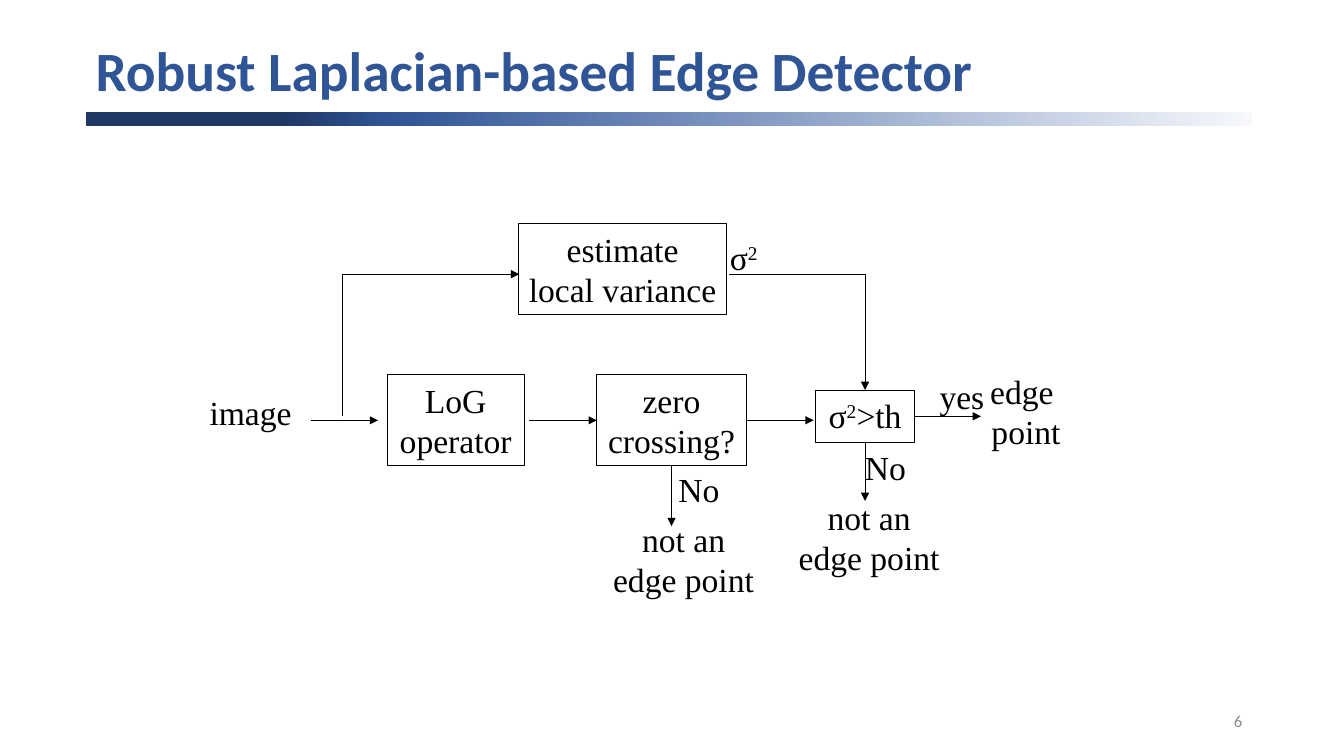
from dataclasses import dataclass
from typing import Optional

from lxml.etree import SubElement
from pptx import Presentation
from pptx.dml.color import RGBColor
from pptx.enum.shapes import MSO_CONNECTOR, MSO_SHAPE
from pptx.enum.text import MSO_ANCHOR, MSO_AUTO_SIZE, PP_ALIGN
from pptx.oxml.ns import qn
from pptx.util import Inches, Pt

HUES = {"ink": "000000", "title": "2F5597", "page": "8C8C8C"}
FADE = ((0, "F6F8FC"), (74, "2F5597"), (83, "203864"), (100, "203864"))
LEFT, MID, RIGHT = PP_ALIGN.LEFT, PP_ALIGN.CENTER, PP_ALIGN.RIGHT
TOP_SIDE, LEFT_SIDE, BASE_SIDE, RIGHT_SIDE = range(4)


@dataclass
class Font:
    name: str = "Times New Roman"
    size: float = 24
    hue: str = "ink"
    bold: bool = False
    pitch: float = 1.0


@dataclass
class Node:
    """Text in a place; a run that starts with ^ is raised."""
    area: tuple[float, float, float, float]
    lines: list[list[str]]
    align: PP_ALIGN = MID


@dataclass
class Line:
    start: tuple[float, float]
    end: tuple[float, float]
    head: bool = True
    source: Optional[tuple[str, int]] = None
    target: Optional[tuple[str, int]] = None


NO_EDGE = [["not an"], ["edge point"]]
BOXES = {
    "log": Node((3.84, 3.72, 1.36, 0.9), [["LoG"], ["operator"]]),
    "zero": Node((5.92, 3.72, 1.48, 0.9), [["zero"], ["crossing?"]]),
    "local": Node((5.14, 2.22, 2.07, 0.9), [["estimate"], ["local variance"]]),
    "test": Node((8.09, 3.87, 0.98, 0.52), [["σ", "^2", ">th"]]),
}
LABELS = [
    Node((1.98, 3.84, 1.1, 0.5), [["image"]], LEFT),
    Node((7.14, 2.3, 0.51, 0.5), [["σ", "^2"]], LEFT),
    Node((5.98, 5.1, 1.6, 0.9), NO_EDGE),
    Node((6.63, 4.6, 0.65, 0.5), [["No"]], LEFT),
    Node((9.22, 3.68, 0.7, 0.5), [["yes"]], LEFT),
    Node((8.48, 4.38, 0.65, 0.5), [["No"]], LEFT),
    Node((7.82, 4.88, 1.6, 0.9), NO_EDGE),
    Node((9.65, 3.63, 0.97, 0.9), [["edge"], [" point"]]),
]
LINES = [
    # Main row
    Line((3.08, 4.17), (3.75, 4.17)),
    Line((5.25, 4.17), (5.92, 4.17), target=("zero", LEFT_SIDE)),
    Line((7.4, 4.17), (8.07, 4.17), source=("zero", RIGHT_SIDE)),
    Line((9.07, 4.13), (9.73, 4.13), source=("test", RIGHT_SIDE)),
    # Upper branch
    Line((3.4, 4.13), (3.4, 2.72), False),
    Line((3.4, 2.72), (5.15, 2.72)),
    Line((7.23, 2.72), (8.58, 2.72), False),
    Line((8.58, 2.72), (8.58, 3.87), target=("test", TOP_SIDE)),
    # Ways out
    Line((6.66, 4.62), (6.66, 5.22), source=("zero", BASE_SIDE)),
    Line((8.58, 4.39), (8.58, 4.97), source=("test", BASE_SIDE)),
]


def color(name: str) -> RGBColor:
    return RGBColor.from_string(HUES[name])


def write(shape, node: Node, font: Font, fit: bool = True) -> None:
    frame = shape.text_frame
    frame.word_wrap = not fit
    frame.auto_size = MSO_AUTO_SIZE.SHAPE_TO_FIT_TEXT if fit else MSO_AUTO_SIZE.NONE
    frame.vertical_anchor = MSO_ANCHOR.TOP if fit else MSO_ANCHOR.MIDDLE
    for i, line in enumerate(node.lines):
        para = frame.add_paragraph() if i else frame.paragraphs[0]
        para.alignment = node.align
        para.line_spacing = font.pitch
        for text in line:
            run = para.add_run()
            run.text = text.lstrip("^")
            run.font.name, run.font.size = font.name, Pt(font.size)
            run.font.bold = font.bold
            run.font.color.rgb = color(font.hue)
            if text.startswith("^"):
                run.font._element.set("baseline", "30000")


def add_label(slide, node: Node, font: Font, fit: bool = True) -> None:
    box = slide.shapes.add_textbox(*map(Inches, node.area))
    write(box, node, font, fit)


def add_box(slide, node: Node):
    box = slide.shapes.add_shape(MSO_SHAPE.RECTANGLE, *map(Inches, node.area))
    box.shadow.inherit = False
    box.fill.background()
    box.line.color.rgb = color("ink")
    box.line.width = Pt(0.75)
    write(box, node, Font())
    return box


def add_line(slide, line: Line, boxes: dict) -> None:
    link = slide.shapes.add_connector(
        MSO_CONNECTOR.STRAIGHT, *map(Inches, line.start + line.end))
    if line.source:
        link.begin_connect(boxes[line.source[0]], line.source[1])
    if line.target:
        link.end_connect(boxes[line.target[0]], line.target[1])
    link.line.color.rgb = color("ink")
    link.line.width = Pt(0.75)
    if line.head:
        SubElement(link.line._get_or_add_ln(), qn("a:tailEnd"), type="triangle")
    SubElement(link._element.spPr, qn("a:effectLst"))


def add_bar(slide) -> None:
    bar = slide.shapes.add_shape(
        MSO_SHAPE.RECTANGLE, *map(Inches, (0.85, 1.11, 11.57, 0.14)))
    bar.shadow.inherit = False
    bar.line.fill.background()
    bar.fill.gradient()
    bar.fill.gradient_angle = 180
    stops = bar._element.spPr.find(".//" + qn("a:gsLst"))
    for old in list(stops):
        stops.remove(old)
    for place, hue in FADE:
        stop = SubElement(stops, qn("a:gs"), pos=str(place * 1000))
        SubElement(stop, qn("a:srgbClr"), val=hue)


def main() -> None:
    deck = Presentation()
    deck.slide_width, deck.slide_height = Inches(13.33), Inches(7.5)
    slide = deck.slides.add_slide(deck.slide_layouts[6])

    # Title, bar and page number
    add_bar(slide)
    title = Node((0.85, 0.4, 12.14, 0.66),
                 [["Robust Laplacian-based Edge Detector"]], LEFT)
    add_label(slide, title, Font("Calibri", 39.6, "title", True, 0.9), False)
    page = Node((9.42, 6.95, 3, 0.4), [["6"]], RIGHT)
    add_label(slide, page, Font("Calibri", 12, "page"), False)

    # Flow chart
    boxes = {key: add_box(slide, node) for key, node in BOXES.items()}
    for line in LINES:
        add_line(slide, line, boxes)
    for node in LABELS:
        add_label(slide, node, Font())

    deck.save("out.pptx")


if __name__ == "__main__":
    main()
